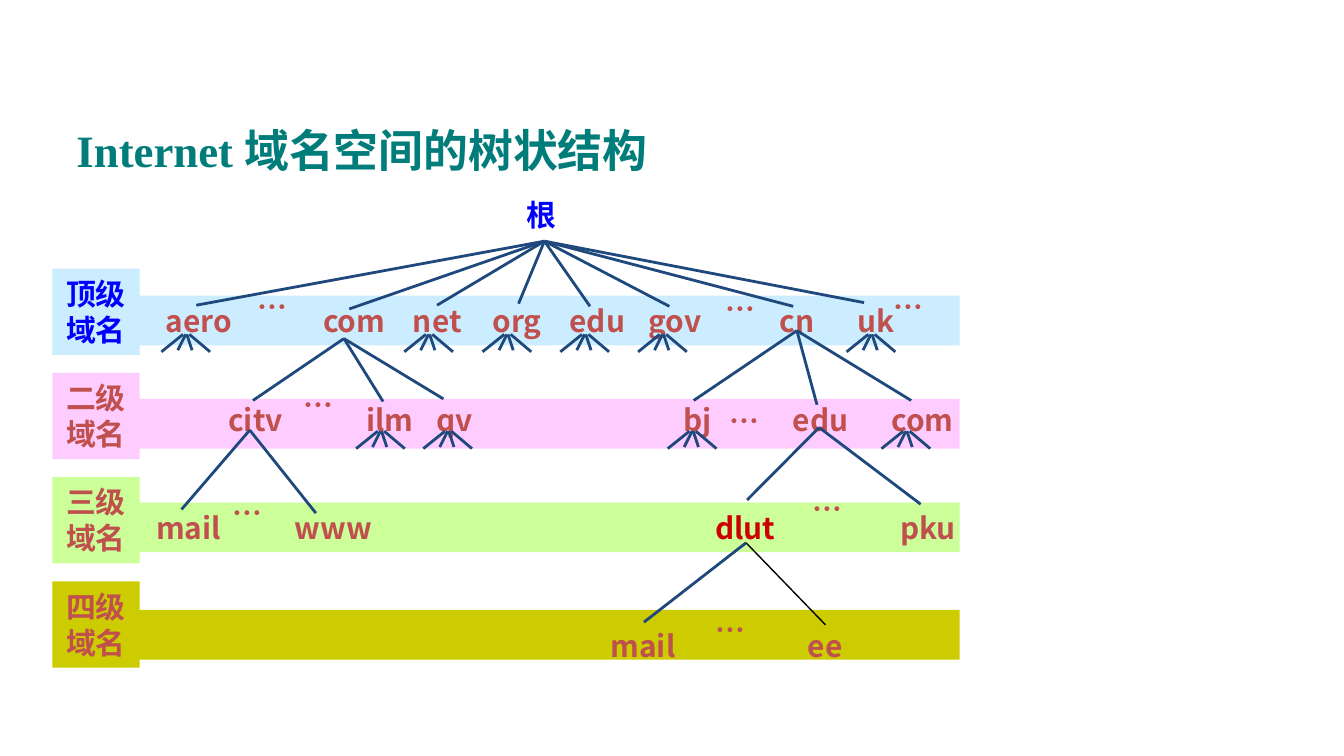
from pptx import Presentation
from pptx.dml.color import RGBColor
from pptx.enum.shapes import MSO_CONNECTOR, MSO_SHAPE
from pptx.enum.text import MSO_ANCHOR, PP_ALIGN
from pptx.oxml.ns import qn
from pptx.util import Cm, Pt
from lxml.etree import SubElement

TEAL = RGBColor(0x00, 0x7D, 0x7A)
BLUE = RGBColor(0x00, 0x00, 0xFF)
NAVY = RGBColor(0x1F, 0x49, 0x7D)
BRICK = RGBColor(0xC0, 0x50, 0x4D)
RED = RGBColor(0xCC, 0x00, 0x00)
BLACK = RGBColor(0x00, 0x00, 0x00)
SKY = RGBColor(0xCC, 0xEC, 0xFF)
PINK = RGBColor(0xFF, 0xCC, 0xFF)
LIME = RGBColor(0xCC, 0xFF, 0x99)
OLIVE = RGBColor(0xCC, 0xCC, 0x00)
CJK_FONT = "Noto Sans CJK SC"

# label, label colour, fill, band top, names top, names as (text, left, width)
LEVELS = [
    ("顶级", BLUE, SKY, 5.59, 5.59,
     [("aero", 2.87, 1.78), ("com", 5.82, 1.75), ("net", 7.54, 1.45),
      ("org", 9.02, 1.5), ("edu", 10.49, 1.6), ("gov", 11.96, 1.6),
      ("cn", 14.48, 1.17), ("uk", 15.95, 1.22)]),
    ("二级", BRICK, PINK, 7.54, 7.47,
     [("citv", 3.99, 1.68), ("ilm", 6.55, 1.63), ("qv", 7.95, 1.27),
      ("bj", 12.65, 1.07), ("edu", 14.71, 1.6), ("com", 16.56, 1.75)]),
    ("三级", BRICK, LIME, 9.5, 9.5,
     [("mail", 2.69, 1.75), ("www", 5.31, 1.98), ("dlut", 13.0, 2.18),
      ("pku", 16.74, 1.6)]),
    ("四级", BRICK, OLIVE, 11.53, 11.73,
     [("mail", 11.28, 1.75), ("ee", 15.01, 1.17)]),
]
ELLIPSES = [(4.62, 5.33), (13.46, 5.36), (16.64, 5.33), (5.49, 7.19),
            (13.54, 7.49), (4.14, 9.22), (15.11, 9.14), (13.26, 11.43)]

# parent point, child points
BRANCHES = [
    ((10.29, 4.56), [(3.71, 5.77), (6.6, 5.84), (8.26, 5.77), (9.8, 5.74),
                     (11.15, 5.79), (12.65, 5.79), (14.99, 5.79), (16.33, 5.72)]),
    ((6.5, 6.4), [(4.78, 7.57), (7.24, 7.59), (8.38, 7.54)]),
    ((15.06, 6.25), [(13.11, 7.57), (15.44, 7.65), (17.22, 7.57)]),
    ((4.72, 8.13), [(3.43, 9.63), (5.97, 9.7)]),
    ((15.48, 8.08), [(14.12, 9.45), (17.4, 9.53)]),
    ((14.1, 10.26), [(12.17, 11.76)]),
]
FANS = [(6.32, [3.51, 8.1, 9.58, 11.05, 12.52, 16.46]),
        (8.15, [7.19, 8.46, 13.08, 17.12])]
# start x, end x and drop of each twig, relative to the centre of its fan
TWIGS = [(-0.05, -0.46, 0.33), (0, -0.15, 0.3), (0.02, 0.12, 0.3), (0.07, 0.46, 0.33)]


def format_font(paragraph, size, color, latin=CJK_FONT):
    """Format the whole paragraph, with the East Asian font on each run."""
    font = paragraph.font
    font.size, font.bold, font.name = Pt(size), True, latin
    font.color.rgb = color
    for run in paragraph.runs:
        SubElement(run._r.get_or_add_rPr(), qn("a:ea"), typeface=CJK_FONT)


def set_text(shape, lines, color):
    frame = shape.text_frame
    frame.text = "\n".join(lines)
    frame.word_wrap = False
    frame.vertical_anchor = MSO_ANCHOR.TOP
    for paragraph in frame.paragraphs:
        paragraph.alignment = PP_ALIGN.CENTER
        paragraph.line_spacing = Pt(19.3)
        format_font(paragraph, 16, color)


def add_name(slide, text, left, top, width, color=BRICK):
    box = slide.shapes.add_textbox(Cm(left), Cm(top), Cm(width), Cm(0.94))
    set_text(box, [text], color)


def add_block(slide, left, top, width, height, fill):
    block = slide.shapes.add_shape(
        MSO_SHAPE.RECTANGLE, Cm(left), Cm(top), Cm(width), Cm(height))
    block.shadow.inherit = False
    block.fill.solid()
    block.fill.fore_color.rgb = fill
    block.line.fill.background()
    return block


def add_line(slide, start, end, color=NAVY, width=1.5):
    line = slide.shapes.add_connector(
        MSO_CONNECTOR.STRAIGHT, *(Cm(value) for value in (*start, *end)))
    line.line.color.rgb = color
    line.line.width = Pt(width)
    SubElement(line._element.spPr, qn("a:effectLst"))


def add_fan(slide, center, top):
    """Draw the short twigs that stand for further subdomains."""
    for start, end, drop in TWIGS:
        add_line(slide, (center + start, top), (center + end, top + drop))


def add_title(slide, text):
    title = slide.shapes.title
    title.left, title.top, title.width, title.height = Cm(1.19), Cm(2.12), Cm(12.5), Cm(1.4)
    title.text_frame.text = text
    title.text_frame.vertical_anchor = MSO_ANCHOR.MIDDLE
    paragraph = title.text_frame.paragraphs[0]
    paragraph.alignment = PP_ALIGN.LEFT
    format_font(paragraph, 24, TEAL, "Times New Roman")


def add_level(slide, index, level):
    label, color, fill, band_top, names_top, names = level
    add_block(slide, 2.54, band_top, 15.6, 0.94, fill)
    block = add_block(slide, 0.99, 5.08 + 1.97 * index, 1.65, 1.63, fill)
    set_text(block, [label, "域名"], color)
    for text, left, width in names:
        add_name(slide, text, left, names_top, width, RED if text == "dlut" else BRICK)


def main():
    presentation = Presentation()
    presentation.slide_width, presentation.slide_height = Cm(25.4), Cm(14.29)
    slide = presentation.slides.add_slide(presentation.slide_layouts[5])
    add_title(slide, "Internet 域名空间的树状结构")
    add_name(slide, "根", 9.68, 3.58, 1.12, BLUE)
    for index, level in enumerate(LEVELS):
        add_level(slide, index, level)
    for left, top in ELLIPSES:
        add_name(slide, "…", left, top, 1.07)
    for parent, children in BRANCHES:
        for child in children:
            add_line(slide, parent, child)
    add_line(slide, (14.1, 10.26), (15.6, 11.81), BLACK, 0.75)
    for top, centers in FANS:
        for center in centers:
            add_fan(slide, center, top)
    presentation.save("out.pptx")


if __name__ == "__main__":
    main()
